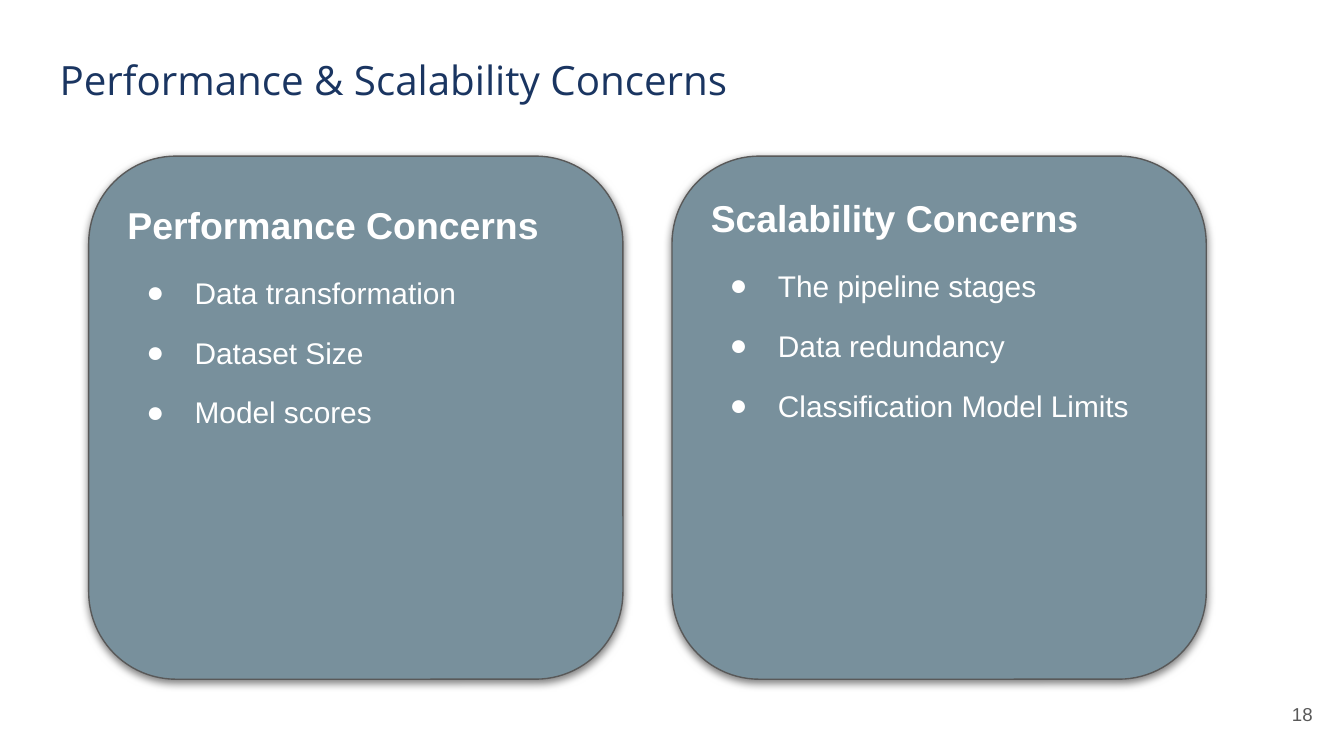
from pptx import Presentation
from pptx.dml.color import RGBColor
from pptx.enum.shapes import MSO_SHAPE as Shape
from pptx.enum.text import MSO_ANCHOR as Anchor, PP_ALIGN as Align
from pptx.oxml import parse_xml
from pptx.oxml.ns import nsdecls
from pptx.util import Inches, Pt

NAVY = RGBColor(0x1A, 0x35, 0x61)
SLATE = RGBColor(0x78, 0x90, 0x9C)
GRAY = RGBColor(0x59, 0x59, 0x59)
WHITE = RGBColor(0xFF, 0xFF, 0xFF)

SHADOW = (
    f'<a:effectLst {nsdecls("a")}><a:outerShdw blurRad="{Pt(4.5)}" dist="{Pt(1.5)}" '
    'dir="5400000" algn="bl" rotWithShape="0"><a:srgbClr val="000000">'
    '<a:alpha val="50000"/></a:srgbClr></a:outerShdw></a:effectLst>'
)


class SlideBuilder:
    title_font = "Open Sans"
    body_font = "Arial"
    line_spacing = 1.15

    def __init__(self, deck):
        self.deck = deck
        self.page = deck.slides.add_slide(deck.slide_layouts[6])

    def place(self, left, top, width, height):
        across, down = self.deck.slide_width / 100, self.deck.slide_height / 100
        return [round(n) for n in (left * across, top * down, width * across, height * down)]

    def prepare(self, box, anchor):
        frame = box.text_frame
        frame.word_wrap = True
        frame.vertical_anchor = anchor
        frame.margin_left = frame.margin_right = Inches(0.1)
        frame.margin_top = frame.margin_bottom = Inches(0.1)
        return frame

    def style(self, para, font, size, color, bold=False, align=Align.LEFT):
        para.alignment = align
        for span in para.runs:
            span.font.name = font
            span.font.size = Pt(size)
            span.font.color.rgb = color
            span.font.bold = bold

    def label(self, area, text, font, size, color, align=Align.LEFT, anchor=Anchor.TOP):
        box = self.page.shapes.add_textbox(*self.place(*area))
        frame = self.prepare(box, anchor)
        frame.text = text
        self.style(frame.paragraphs[0], font, size, color, align=align)

    def bullet(self, para):
        props = para._p.get_or_add_pPr()
        props.set("marL", str(Inches(0.5)))
        props.set("indent", str(Inches(-0.36)))
        for mark in (
            f'<a:buClr {nsdecls("a")}><a:srgbClr val="{WHITE}"/></a:buClr>',
            f'<a:buSzPts {nsdecls("a")} val="1600"/>',
            f'<a:buFont {nsdecls("a")} typeface="{self.body_font}"/>',
            f'<a:buChar {nsdecls("a")} char="●"/>',
        ):
            props.append(parse_xml(mark))

    def card(self, area, heading, items, heading_spacing):
        box = self.page.shapes.add_shape(Shape.ROUNDED_RECTANGLE, *self.place(*area))
        box.adjustments[0] = 0.167
        box.fill.solid()
        box.fill.fore_color.rgb = SLATE
        box.line.color.rgb = GRAY
        box.line.width = Pt(0.75)
        box._element.spPr.append(parse_xml(SHADOW))
        frame = self.prepare(box, Anchor.TOP)
        frame.text = "\n".join([heading, *items])
        title, *points = frame.paragraphs
        title.line_spacing = heading_spacing
        self.style(title, self.body_font, 20, WHITE, bold=True)
        for index, para in enumerate(points):
            self.bullet(para)
            para.line_spacing = self.line_spacing
            para.space_before = Pt(10 if index else 12)
            self.style(para, self.body_font, 16, WHITE)


def main():
    deck = Presentation()
    deck.slide_width = Inches(10)
    deck.slide_height = deck.slide_width * 9 // 16
    builder = SlideBuilder(deck)
    builder.label((3.45, 5.5, 57.8, 9.4), "Performance & Scalability Concerns",
                  builder.title_font, 21.6, NAVY)
    cards = [
        ("Performance Concerns",
         ["Data transformation", "Dataset Size", "Model scores"], builder.line_spacing),
        ("Scalability Concerns",
         ["The pipeline stages", "Data redundancy", "Classification Model Limits"], None),
    ]
    for column, (heading, items, spacing) in enumerate(cards):
        builder.card((6.6 + column * 43.4, 20.65, 39.75, 69.2), heading, items, spacing)
    builder.label((92.65, 90.67, 6, 7.65), "18", builder.body_font, 10, GRAY,
                  Align.RIGHT, Anchor.MIDDLE)
    deck.save("out.pptx")


if __name__ == "__main__":
    main()
